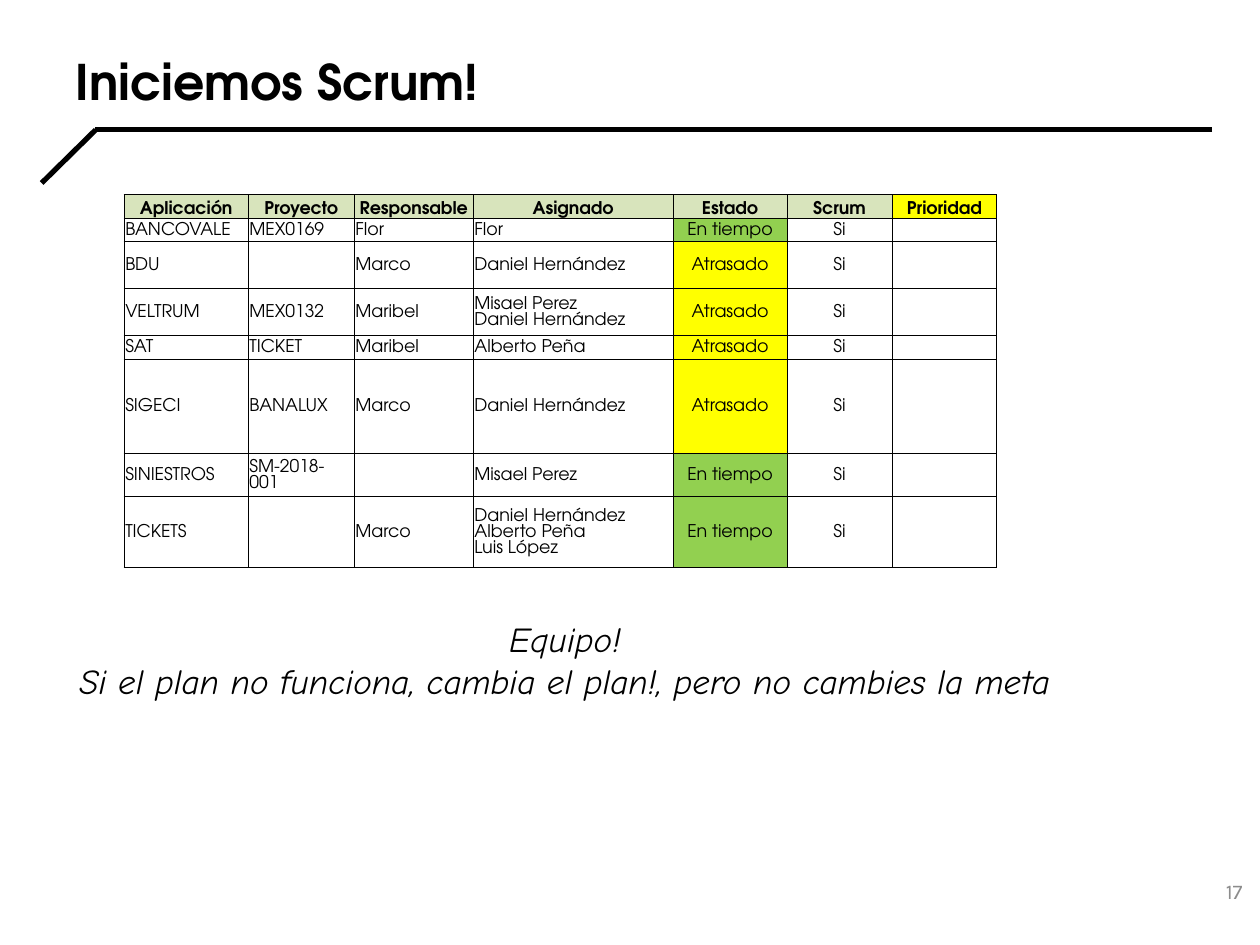
from dataclasses import dataclass

from lxml import etree
from pptx import Presentation
from pptx.dml.color import RGBColor
from pptx.enum.shapes import MSO_CONNECTOR
from pptx.enum.text import MSO_ANCHOR, PP_ALIGN
from pptx.oxml import parse_xml
from pptx.oxml.ns import nsdecls, qn
from pptx.util import Pt

LEFT, CENTER, RIGHT = PP_ALIGN.LEFT, PP_ALIGN.CENTER, PP_ALIGN.RIGHT
TOP, MIDDLE, BOTTOM = MSO_ANCHOR.TOP, MSO_ANCHOR.MIDDLE, MSO_ANCHOR.BOTTOM
STRAIGHT = MSO_CONNECTOR.STRAIGHT


@dataclass(frozen=True)
class Theme:
    """Colours, fonts and type sizes of the slide."""
    ink: str = "000000"
    muted: str = "8C8C8C"
    header: str = "D8E4BC"
    yellow: str = "FFFF00"
    green: str = "92D050"
    main_font: str = "TeX Gyre Adventor"
    number_font: str = "Karla"
    motto_font: str = "Comic Neue"
    title_size: float = 28
    motto_size: float = 20
    number_size: float = 12
    table_size: float = 10


theme = Theme()


def write(frame, lines, font, size, color=theme.ink, align=LEFT, bold=False, italic=False):
    """Fill a text frame with one paragraph per line, all in one style."""
    frame.word_wrap = True
    for index, line in enumerate(lines):
        paragraph = frame.paragraphs[0] if index == 0 else frame.add_paragraph()
        paragraph.text = line
        paragraph.alignment = align
        paragraph.font.name = font
        paragraph.font.size = Pt(size)
        paragraph.font.bold = bold
        paragraph.font.italic = italic
        paragraph.font.color.rgb = RGBColor.from_string(color)


def add_border(cell):
    """Draw a thin line on the four sides of a table cell."""
    properties = cell._tc.get_or_add_tcPr()
    for index, side in enumerate(("lnL", "lnR", "lnT", "lnB")):
        properties.insert(index, parse_xml(
            f'<a:{side} {nsdecls("a")} w="{Pt(0.5)}"><a:solidFill>'
            f'<a:srgbClr val="{theme.ink}"/></a:solidFill></a:{side}>'))


deck = Presentation()
deck.slide_width, deck.slide_height = Pt(720), Pt(540)
slide = deck.slides.add_slide(deck.slide_layouts[6])

# Rule under the title
for start_x, start_y, end_x, end_y in ((692.6, 74.2, 54, 74.2), (23.8, 104.6, 54.7, 74.2)):
    rule = slide.shapes.add_connector(STRAIGHT, Pt(start_x), Pt(start_y), Pt(end_x), Pt(end_y))
    rule.line.color.rgb = RGBColor.from_string(theme.ink)
    rule.line.width = Pt(3)
    etree.SubElement(rule._element.spPr, qn("a:effectLst"))

# Title, page number and motto
motto = ["Equipo!", "Si el plan no funciona, cambia el plan!, pero no cambies la meta"]
texts = (
    ((36, 21.6, 522.7, 49.7), MIDDLE, ["Iniciemos Scrum!"],
     dict(font=theme.main_font, size=theme.title_size, bold=True)),
    ((677.5, 502.6, 39.6, 13.7), MIDDLE, ["17"],
     dict(font=theme.number_font, size=theme.number_size, color=theme.muted, align=RIGHT)),
    ((25.2, 349.2, 595.4, 55.4), TOP, motto,
     dict(font=theme.motto_font, size=theme.motto_size, align=CENTER, italic=True)),
)
for box, anchor, lines, style in texts:
    frame = slide.shapes.add_textbox(*map(Pt, box)).text_frame
    frame.vertical_anchor = anchor
    write(frame, lines, **style)

# Status table
headings = ("Aplicación", "Proyecto", "Responsable", "Asignado", "Estado", "Scrum", "Prioridad")
column_widths = (71, 60.6, 68, 114.2, 65.1, 60, 60)
unit_height = 13.45
projects = (
    (1, "BANCOVALE", "MEX0169", "Flor", "Flor", "En tiempo"),
    (2, "BDU", "", "Marco", "Daniel Hernández", "Atrasado"),
    (2, "VELTRUM", "MEX0132", "Maribel", "Misael Perez\vDaniel Hernández", "Atrasado"),
    (1, "SAT", "TICKET", "Maribel", "Alberto Peña", "Atrasado"),
    (4, "SIGECI", "BANALUX", "Marco", "Daniel Hernández", "Atrasado"),
    (1, "SINIESTROS", "SM-2018-001", "", "Misael Perez", "En tiempo"),
    (3, "TICKETS", "", "Marco", "Daniel Hernández\vAlberto Peña\vLuis López", "En tiempo"),
)
row_units = [1] + [project[0] for project in projects]
rows = [headings] + [project[1:] + ("Si", "") for project in projects]
fills = {"En tiempo": theme.green, "Atrasado": theme.yellow, "Prioridad": theme.yellow}

status = slide.shapes.add_table(
    len(rows), len(headings), Pt(70.9), Pt(111.2),
    Pt(sum(column_widths)), Pt(unit_height * sum(row_units))).table
status.first_row = status.horz_banding = False
for column, width in zip(status.columns, column_widths):
    column.width = Pt(width)
for row_index, (row, units) in enumerate(zip(rows, row_units)):
    status.rows[row_index].height = Pt(unit_height * units)
    is_heading = row_index == 0
    for column_index, text in enumerate(row):
        cell = status.cell(row_index, column_index)
        cell.margin_left = cell.margin_right = cell.margin_top = Pt(0.7)
        cell.margin_bottom = 0
        cell.vertical_anchor = BOTTOM if is_heading else MIDDLE
        write(cell.text_frame, [text], theme.main_font, theme.table_size,
              align=CENTER if is_heading or column_index >= 4 else LEFT, bold=is_heading)
        if not text:
            end = etree.SubElement(cell.text_frame.paragraphs[0]._p, qn("a:endParaRPr"))
            end.set("sz", str(theme.table_size * 100))
        fill_color = fills.get(text, theme.header if is_heading else None)
        if fill_color:
            cell.fill.solid()
            cell.fill.fore_color.rgb = RGBColor.from_string(fill_color)
        else:
            cell.fill.background()
        add_border(cell)

deck.save("out.pptx")
